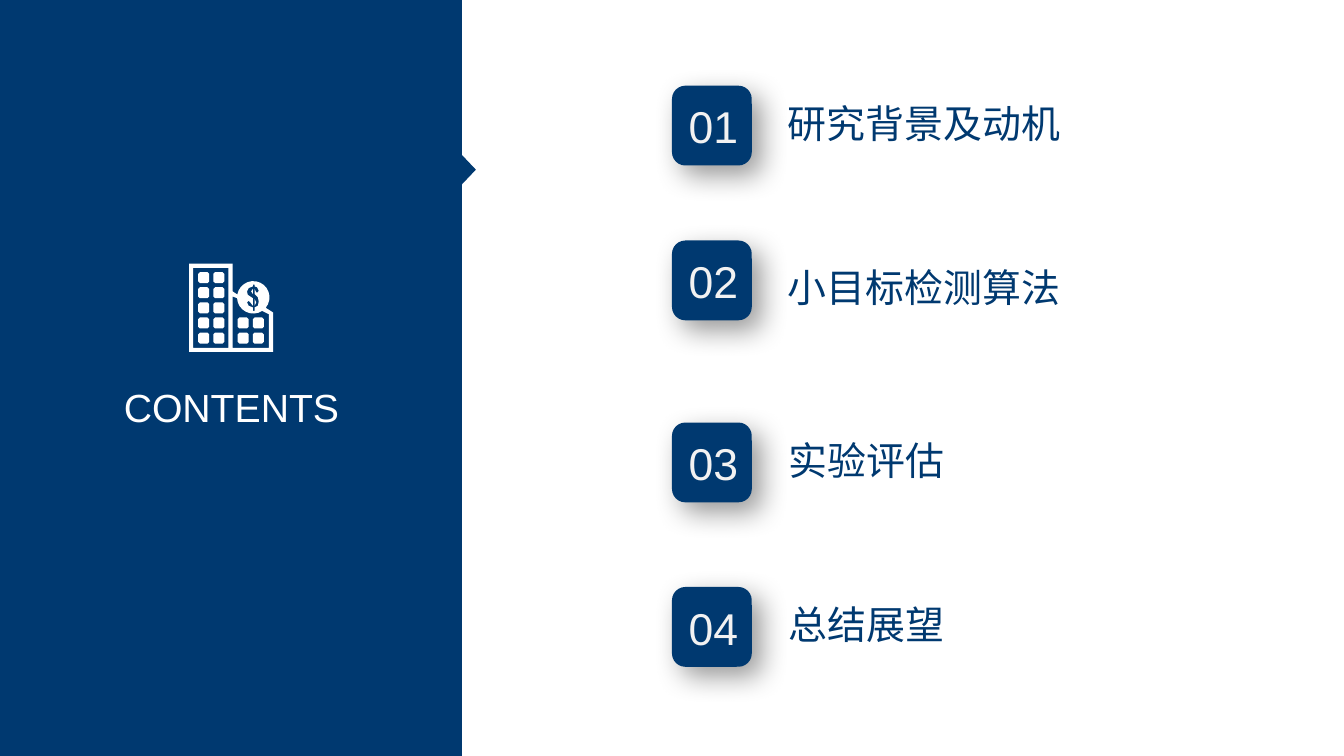
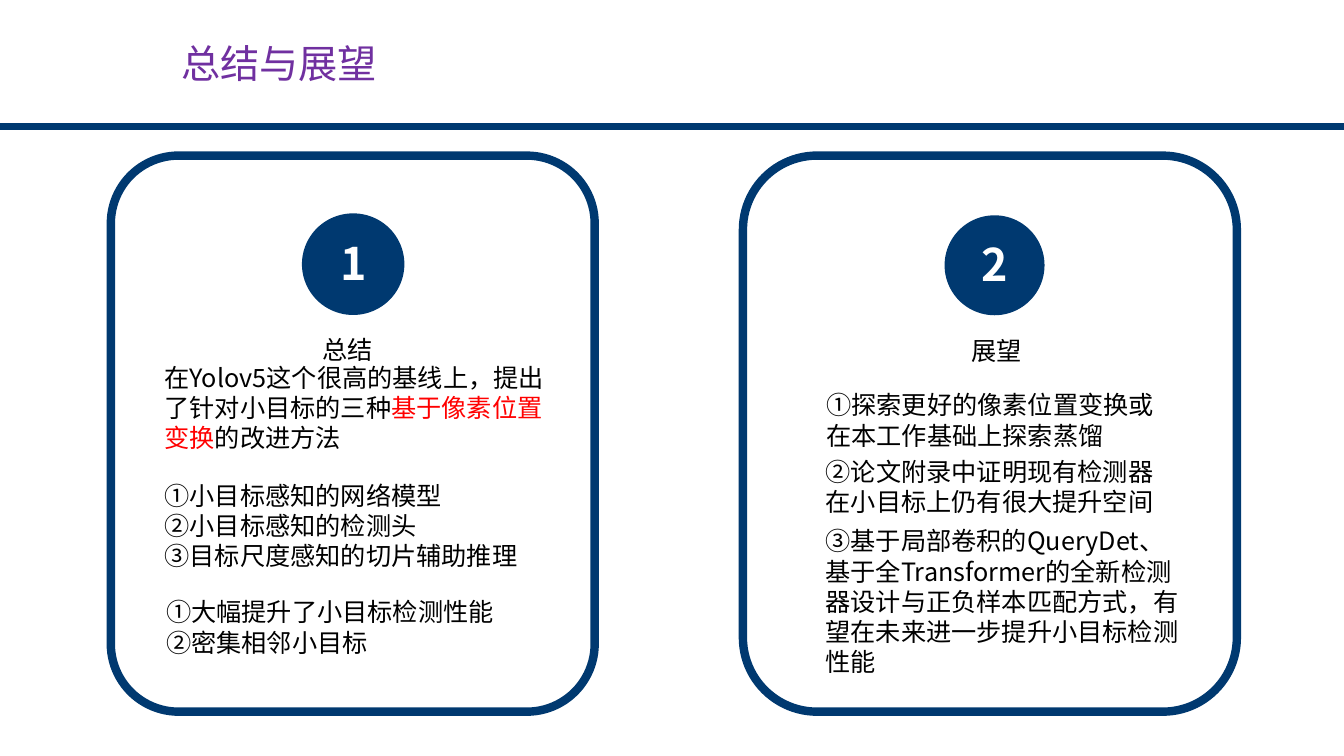
import math

import pptx
import pptx.util
import pptx.dml.color
import pptx.enum.shapes
import pptx.enum.text
import pptx.oxml
import pptx.oxml.ns

COLORS = {"navy": "003970", "white": "FFFFFF", "pale": "F2F2F2",
          "black": "000000", "red": "FF0000", "purple": "7030A0"}
CJK = "Noto Sans CJK SC"
COLS, ROWS, CELL = 160, 90, 76200
SHAPE = pptx.enum.shapes.MSO_SHAPE
SHADOW = (f'<a:outerShdw {pptx.oxml.ns.nsdecls("a")} blurRad="254000" dist="127000" '
          'dir="2700000" algn="tl" rotWithShape="0">'
          '<a:srgbClr val="000000"><a:alpha val="40000"/></a:srgbClr></a:outerShdw>')


def rgb(name):
    """Return the named palette colour."""
    return pptx.dml.color.RGBColor.from_string(COLORS[name])


def cells(*lengths):
    """Convert grid cells to EMU."""
    return [pptx.util.Emu(round(n * CELL)) for n in lengths]


def coin_arc(start, stop, step):
    """Return points on the rim of the coin between two angles."""
    return [(30.15 + 1.93 * math.cos(math.radians(a)),
             35.4 + 1.93 * math.sin(math.radians(a)))
            for a in range(start, stop, step)]


def window(x, y, size=1.3, cut=0.2):
    """Return a square contour with cut corners."""
    near, far = cut, size - cut
    corners = [(near, 0), (far, 0), (size, near), (size, far),
               (far, size), (near, size), (0, far), (0, near)]
    return [(x + dx, y + dy) for dx, dy in corners]


class Deck:
    """Hold the shared style and the current slide on a 160 by 90 grid."""

    def __init__(self):
        """Start an empty widescreen presentation."""
        self.prs = pptx.Presentation()
        self.prs.slide_width, self.prs.slide_height = cells(COLS, ROWS)
        self.s = None

    def slide(self):
        """Add a blank slide and make it current."""
        self.s = self.prs.slides.add_slide(self.prs.slide_layouts[6])

    def paint(self, sp, fill="navy", line=None, width=0):
        """Set the fill and outline of a shape and drop its theme shadow."""
        sp.shadow.inherit = False
        sp.fill.solid()
        sp.fill.fore_color.rgb = rgb(fill)
        if line:
            sp.line.color.rgb = rgb(line)
            sp.line.width = pptx.util.Pt(width)
        else:
            sp.line.fill.background()
        return sp

    def shape(self, kind, box, fill="navy", line=None, width=0, adj=None):
        """Add a preset shape."""
        sp = self.s.shapes.add_shape(kind, *cells(*box))
        if adj is not None:
            sp.adjustments[0] = adj
        return self.paint(sp, fill, line, width)

    def outline(self, contours, fill):
        """Add one shape made of several closed contours."""
        first, *others = [[cells(*pt) for pt in c] for c in contours]
        fb = self.s.shapes.build_freeform(*first[0], scale=1.0)
        fb.add_line_segments(first[1:])
        for pts in others:
            fb.move_to(*pts[0])
            fb.add_line_segments(pts[1:])
        return self.paint(fb.convert_to_shape(), fill)

    def line(self, ends, width):
        """Add a straight navy line."""
        cn = self.s.shapes.add_connector(
            pptx.enum.shapes.MSO_CONNECTOR.STRAIGHT, *cells(*ends))
        cn.line.color.rgb = rgb("navy")
        cn.line.width = pptx.util.Pt(width)
        cn._element.spPr.append(
            pptx.oxml.parse_xml(f'<a:effectLst {pptx.oxml.ns.nsdecls("a")}/>'))

    def text(self, box, paragraphs, size=18, color="black", font=CJK,
             bold=False, center=False, wrap=True):
        """Add a text box; a paragraph is a string or (text, colour) runs."""
        tf = self.s.shapes.add_textbox(*cells(*box)).text_frame
        tf.word_wrap = wrap
        tf.auto_size = pptx.enum.text.MSO_AUTO_SIZE.SHAPE_TO_FIT_TEXT
        for i, runs in enumerate(paragraphs):
            p = tf.add_paragraph() if i else tf.paragraphs[0]
            if center:
                p.alignment = pptx.enum.text.PP_ALIGN.CENTER
            f = p.font
            f.size, f.bold, f.name = pptx.util.Pt(size), bold, font
            f.color.rgb = rgb(color)
            f._element.append(pptx.oxml.parse_xml(
                f'<a:ea {pptx.oxml.ns.nsdecls("a")} typeface="{CJK}"/>'))
            for words, tint in [(runs, None)] if isinstance(runs, str) else runs:
                r = p.add_run()
                r.text = words
                if tint:
                    r.font.color.rgb = rgb(tint)

    def heading(self, box, words, size=28, color="navy", center=False):
        """Add one line of heading text."""
        self.text(box, [words], size, color, "Arial", center=center)

    def badge(self, row, number):
        """Add a shadowed square holding a section number."""
        sp = self.shape(SHAPE.ROUNDED_RECTANGLE, (80, row, 9.5, 9.5))
        sp._element.spPr.find(pptx.oxml.ns.qn("a:effectLst")).append(
            pptx.oxml.parse_xml(SHADOW))
        self.text((80.8, row + 1.05, 8.4, 7.7), [f"{number:02d}"], 31.8, "pale",
                  "Arial", wrap=False)

    def building(self):
        """Draw the office building and its coin as one shape."""
        walls = [(22.5, 31.4), (27.7, 31.4), (27.7, 34.7), *coin_arc(190, 403, 15),
                 (32.5, 37.2), (32.5, 41.9), (22.5, 41.9)]
        tower = [(23, 31.9), (27.2, 31.9), (27.2, 41.4), (23, 41.4)]
        annex = [(27.7, 35.3), *coin_arc(177, 50, -15),
                 (32, 37.4), (32, 41.4), (27.7, 41.4)]
        dollar = [(30.1, 33.9), (30.1, 34.1), (29.6, 34.3), (29.4, 34.7), (29.5, 35.1),
                  (30.1, 35.5), (30.1, 36.4), (29.8, 36), (29.6, 35.8), (29.4, 36),
                  (29.6, 36.4), (30.1, 36.6), (30.1, 37), (30.3, 37), (30.3, 36.6),
                  (30.7, 36.4), (30.8, 35.9), (30.7, 35.4), (30.3, 35), (30.3, 34.4),
                  (30.5, 34.8), (30.7, 34.8), (30.8, 34.6), (30.6, 34.2),
                  (30.3, 34.1), (30.3, 33.9)]
        gaps = [[(30.1, 34.4), (30.1, 35), (29.9, 34.7)],
                [(30.3, 35.6), (30.5, 36), (30.3, 36.4)]]
        windows = [window(left + 1.8 * col, 32.4 + 1.8 * row)
                   for left, top in ((23.6, 0), (28.3, 3))
                   for row in range(top, 5) for col in range(2)]
        self.outline([walls, tower, annex, dollar, *gaps, *windows], "white")

    def card(self, frame, adj, circle, number_at, number, head_at, head):
        """Add an outlined card with a numbered circle and a heading."""
        self.shape(SHAPE.ROUNDED_RECTANGLE, frame, "white", "navy", 6, adj)
        self.shape(SHAPE.OVAL, circle)
        self.text((*number_at, 5.4, 7.7), [number], 32, "white", bold=True)
        self.text((*head_at, 13.1, 4.8), [head])


def contents(deck):
    """Build the contents slide."""
    deck.slide()
    deck.shape(SHAPE.RECTANGLE, (0, 0, 55, ROWS))
    deck.shape(SHAPE.ISOSCELES_TRIANGLE, (53.85, 19.3, 3.8, 1.8)).rotation = 90
    deck.building()
    sections = [(10.2, 92.6, 11.3, "研究背景及动机"), (28.63, 92.6, 30.8, "小目标检测算法"),
                (50.3, 92.7, 51.4, "实验评估"), (69.88, 92.7, 70.9, "总结展望")]
    for number, (row, label_col, label_row, label) in enumerate(sections, 1):
        deck.badge(row, number)
        deck.heading((label_col, label_row, 37.8, 6.8), label, 27.8)
    deck.heading((12.9, 45, 29.3, 6.8), "CONTENTS", color="white", center=True)


def summary(deck):
    """Build the summary and outlook slide."""
    deck.slide()
    deck.card((13.2, 18.53, 57.6, 66.2), 0.14, (35.95, 25.4, 12.2, 12.1),
              (39.4, 27.5), "1", (37.2, 39.2), "总结")
    deck.card((88.45, 18.53, 58.8, 66.2), 0.15, (112.45, 25.63, 11.9, 11.9),
              (115.7, 27.6), "2", (114.5, 39.32), "展望")
    bodies = [
        ((18.4, 42.53, 50, 12.1),
         [[("在Yolov5这个很高的基线上，提出了针对小目标的三种", None),
           ("基于像素位置变换", "red"), ("的改进方法", None)]]),
        ((18.4, 56.55, 44.6, 12.1),
         ["①小目标感知的网络模型", "②小目标感知的检测头", "③目标尺度感知的切片辅助推理"]),
        ((18.6, 70.45, 49.8, 8.5), ["①大幅提升了小目标检测性能", "②密集相邻小目标"]),
        ((97.2, 45.8, 43.7, 8.5), ["①探索更好的像素位置变换或在本工作基础上探索蒸馏"]),
        ((97.13, 53.68, 42.4, 8.5), ["②论文附录中证明现有检测器在小目标上仍有很大提升空间"]),
        ((97.1, 62, 45, 19.4),
         ["③基于局部卷积的QueryDet、",
          "基于全Transformer的全新检测器设计与正负样本匹配方式，有望在未来进一步提升小目标检测性能"]),
    ]
    for box, paragraphs in bodies:
        deck.text(box, paragraphs)
    deck.line((0, 15.05, COLS, 15.05), 4.5)
    deck.heading((18.6, 4.1, 29.2, 6.8), "总结与展望", color="purple", center=True)


def main():
    """Build and save the presentation."""
    deck = Deck()
    contents(deck)
    summary(deck)
    deck.prs.save("out.pptx")


if __name__ == "__main__":
    main()
